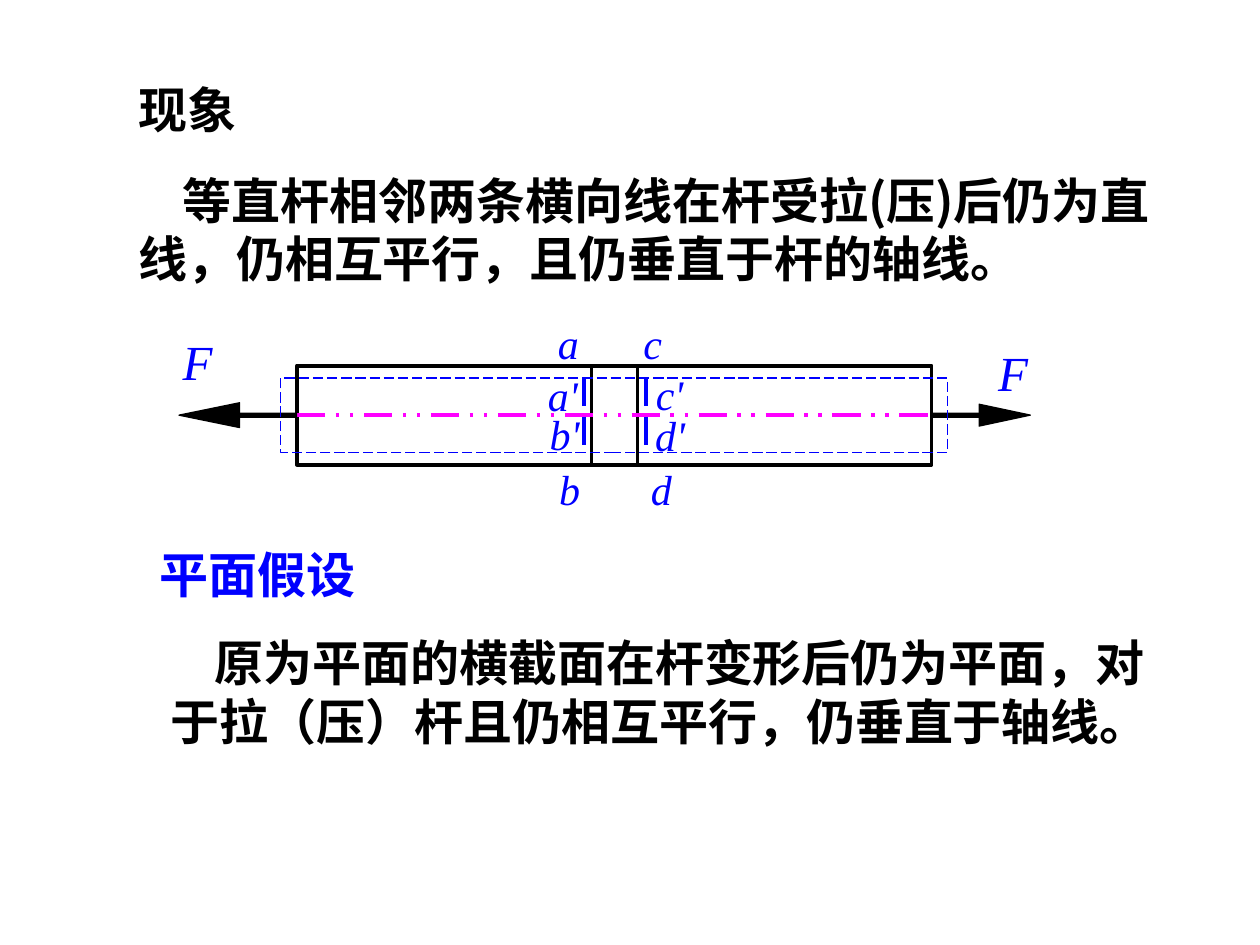
from typing import NamedTuple

from lxml import etree
from pptx import Presentation
from pptx import util as u
from pptx.dml import color
from pptx.enum import dml, shapes, text
from pptx.oxml import ns

BLACK, BLUE, MAGENTA = "000000", "0000FF", "FF00FF"
CJK, LATIN = "Noto Sans CJK SC", "Times New Roman"
AXIS_Y = 8.37


class Passage(NamedTuple):
    content: str
    left: float
    top: float
    width: float
    height: float
    font: str = CJK
    ink: str = BLACK
    indent: float = 0


class Label(NamedTuple):
    symbol: str
    left: float
    top: float
    width: float


class Bar(NamedTuple):
    left: float
    top: float
    width: float
    height: float
    sections: tuple
    ink: str
    outline: float
    section_line: float
    dash: object = None


class Force(NamedTuple):
    side: int
    tail: float
    tip: float
    half_height: float


PASSAGES = [
    Passage("现象", 2.54, 1.47, 3.61, 1.45, font=LATIN),
    Passage("等直杆相邻两条横向线在杆受拉(压)后仍为直线，仍相互平行，且仍垂直于杆的轴线。",
            2.54, 3.3, 20.96, 2.64, indent=0.9),
    Passage("平面假设", 2.97, 10.85, 4.65, 1.45, ink=BLUE),
    Passage("原为平面的横截面在杆变形后仍为平面，对于拉（压）杆且仍相互平行，仍垂直于轴线。",
            3.18, 12.62, 20.75, 2.64, indent=0.9),
]
POINT_LABELS = [
    Label("a", 10.52, 6.4, 1.88), Label("c", 12.78, 6.4, 0.76),
    Label("b", 10.52, 9.35, 1.93), Label("d", 12.7, 9.35, 1.27),
    Label("a'", 10.8, 7.44, 1.09), Label("c'", 13.08, 7.42, 0.84),
    Label("b'", 10.9, 8.23, 0.97), Label("d'", 13.11, 8.26, 0.8),
]
FORCE_LABELS = [Label("F", 3.68, 6.68, 0.86), Label("F", 20.12, 6.91, 0.86)]
ORIGINAL_BAR = Bar(5.99, 7.37, 12.79, 2, (11.93, 12.85), BLACK, 2.25, 1.5)
STRETCHED_BAR = Bar(5.66, 7.62, 13.44, 1.5, (11.77, 13.02), BLUE, 0, 0,
                    dml.MSO_LINE.LONG_DASH)
FORCES = [Force(1, 4.83, 3.61, 0.25), Force(3, 19.74, 20.77, 0.22)]


def rgb(value: str) -> color.RGBColor:
    return color.RGBColor.from_string(value)


def style_line(line, ink: str, width: float, dash=None) -> None:
    line.color.rgb = rgb(ink)
    line.width = u.Pt(width)
    if dash is not None:
        line.dash_style = dash


def add_text(slide, content: str, box: tuple, *, size: float, font: str, ink: str,
             bold=False, italic=False, align=text.PP_ALIGN.LEFT,
             margins=(0, 0), indent=0) -> None:
    frame = slide.shapes.add_textbox(*map(u.Cm, box)).text_frame
    frame.word_wrap = True
    frame.auto_size = text.MSO_AUTO_SIZE.SHAPE_TO_FIT_TEXT
    frame.margin_left = frame.margin_right = u.Cm(margins[0])
    frame.margin_top = frame.margin_bottom = u.Cm(margins[1])
    paragraph = frame.paragraphs[0]
    paragraph.alignment = align
    if indent:
        paragraph._p.get_or_add_pPr().set("indent", str(u.Cm(indent)))
    run = paragraph.add_run()
    run.text = content
    run.font.name, run.font.size = font, u.Pt(size)
    run.font.bold, run.font.italic = bold, italic
    run.font.color.rgb = rgb(ink)
    etree.SubElement(run._r.get_or_add_rPr(), ns.qn("a:ea"), typeface=CJK)


def add_line(slide, start: tuple, end: tuple, ink: str, width: float, dash=None):
    line = slide.shapes.add_connector(
        shapes.MSO_CONNECTOR.STRAIGHT, *map(u.Cm, start + end))
    style_line(line.line, ink, width, dash)
    etree.SubElement(line._element.spPr, ns.qn("a:effectLst"))
    return line


def add_bar(slide, bar: Bar):
    outline = slide.shapes.add_shape(
        shapes.MSO_SHAPE.RECTANGLE, *map(u.Cm, bar[:4]))
    outline.shadow.inherit = False
    outline.fill.background()
    style_line(outline.line, bar.ink, bar.outline, bar.dash)
    for x in bar.sections:
        add_line(slide, (x, bar.top), (x, bar.top + bar.height),
                 bar.ink, bar.section_line, bar.dash)
    return outline


def add_force(slide, force: Force, outline) -> None:
    shaft = add_line(slide, (force.tail, AXIS_Y), (force.tail, AXIS_Y), BLACK, 3)
    shaft.end_connect(outline, force.side)
    builder = slide.shapes.build_freeform(
        u.Cm(force.tail), u.Cm(AXIS_Y + force.half_height))
    builder.add_line_segments([
        (u.Cm(force.tip), u.Cm(AXIS_Y)),
        (u.Cm(force.tail), u.Cm(AXIS_Y - force.half_height)),
    ], close=True)
    head = builder.convert_to_shape()
    head.shadow.inherit = False
    head.fill.solid()
    head.fill.fore_color.rgb = rgb(BLACK)
    style_line(head.line, BLACK, 0)


def add_labels(slide, labels: list, size: float, height: float, align) -> None:
    for label in labels:
        add_text(slide, label.symbol, (*label[1:], height), size=size,
                 font=LATIN, ink=BLUE, italic=True, align=align)


def main() -> None:
    deck = Presentation()
    deck.slide_width, deck.slide_height = u.Cm(25.4), u.Cm(19.05)
    slide = deck.slides.add_slide(deck.slide_layouts[6])

    for passage in PASSAGES:
        add_text(slide, passage.content, passage[1:5], size=28, font=passage.font,
                 ink=passage.ink, bold=True, margins=(0.25, 0.13),
                 indent=passage.indent)

    outline = add_bar(slide, ORIGINAL_BAR)
    axis = add_line(slide, (ORIGINAL_BAR.left, AXIS_Y),
                    (ORIGINAL_BAR.left + ORIGINAL_BAR.width, AXIS_Y),
                    MAGENTA, 0, dml.MSO_LINE.DASH_DOT_DOT)
    axis.begin_connect(outline, 1)
    axis.end_connect(outline, 3)
    for force in FORCES:
        add_force(slide, force, outline)
    add_bar(slide, STRETCHED_BAR)
    add_labels(slide, FORCE_LABELS, 28, 1.19, text.PP_ALIGN.LEFT)
    add_labels(slide, POINT_LABELS, 24, 1.02, text.PP_ALIGN.CENTER)

    deck.save("out.pptx")


if __name__ == "__main__":
    main()
